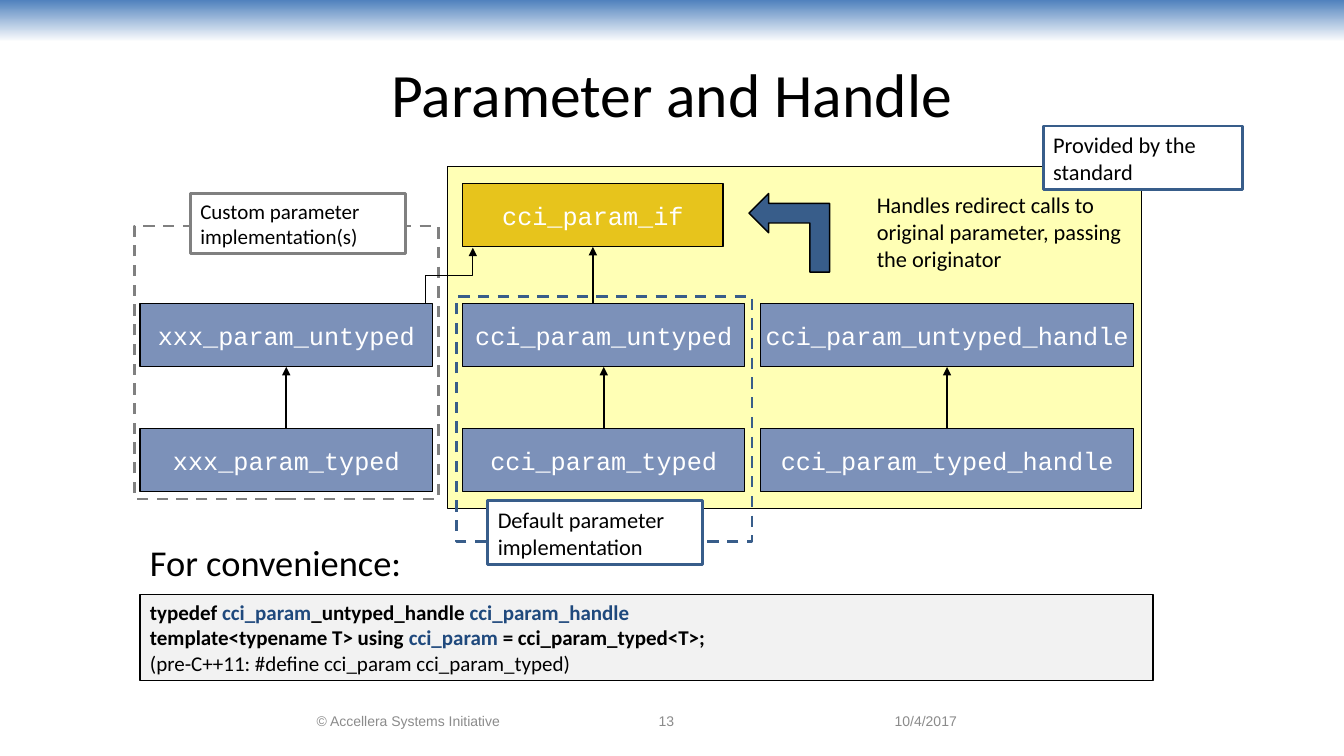
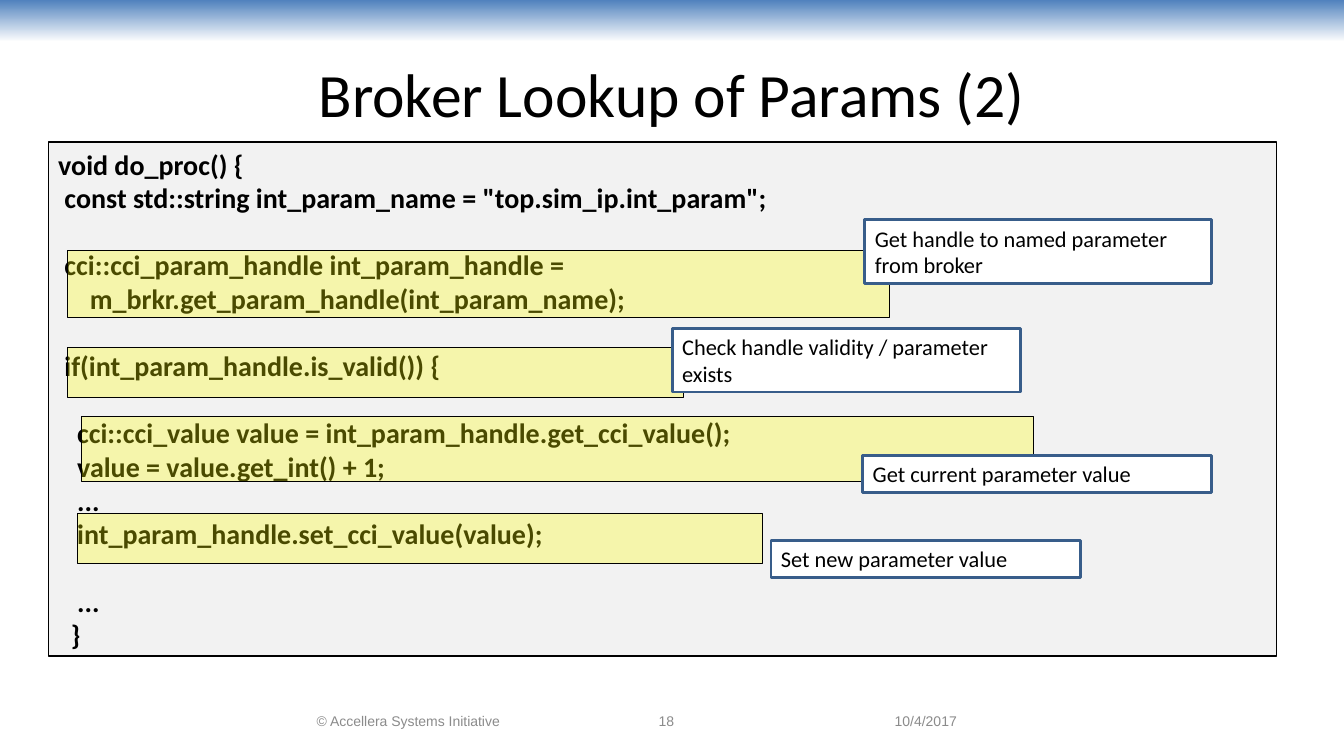
"""Build two slides on parameters, handles and broker lookup."""
from dataclasses import dataclass

import lxml.etree
import pptx
import pptx.dml.color
import pptx.enum.dml
import pptx.enum.shapes
import pptx.enum.text
import pptx.oxml.ns
import pptx.util

Pt = pptx.util.Pt
Shape = pptx.enum.shapes.MSO_SHAPE
Link = pptx.enum.shapes.MSO_CONNECTOR
Align = pptx.enum.text.PP_ALIGN
Anchor = pptx.enum.text.MSO_ANCHOR
qn = pptx.oxml.ns.qn


def rgb(code):
    return pptx.dml.color.RGBColor.from_string(code)


@dataclass(frozen=True)
class Theme:
    ink: str = "000000"
    paper: str = "FFFFFF"
    sky: str = "4F81BD"
    navy: str = "385D8A"
    word: str = "1F497D"
    steel: str = "7C91B9"
    gold: str = "E7C41C"
    glow: str = "FFFF00"
    pale: str = "F2F2F2"
    gray: str = "808080"
    faint: str = "8B8B8B"
    body: str = "Calibri"
    mono: str = "Courier New"
    sans: str = "Arial"
    head: int = 44
    lead: int = 26
    source: int = 20
    node: int = 18
    note: int = 16
    small: int = 15
    foot: int = 10


class Deck:
    def __init__(self, theme):
        self.theme = theme
        self.prs = pptx.Presentation()
        self.prs.slide_width = Pt(960)
        self.prs.slide_height = Pt(540)
        self.slide = None

    def start(self, title, number):
        t = self.theme
        first = self.slide is None
        self.slide = self.prs.slides.add_slide(self.prs.slide_layouts[5])
        if first:
            self.band()
        head = self.slide.shapes.title
        head.left, head.top, head.width, head.height = map(Pt, (48, 21.6, 864, 90))
        self.put(head, [title], t.head, align=Align.CENTER, anchor=Anchor.MIDDLE)
        foot = (
            (384, 184, str(number), Align.CENTER),
            (632, 112, "10/4/2017", Align.LEFT),
            (175.7, 231.8, "© Accellera Systems Initiative", Align.CENTER),
        )
        for x, w, text, align in foot:
            self.text((x, 500.4, w, 28.8), text, t.foot, t.faint, t.sans, align, Anchor.MIDDLE)

    def band(self):
        t = self.theme
        band = self.box((0, 0, 960, 30))
        band.fill.gradient()
        band.fill.gradient_angle = 270
        for stop, place, tone in zip(band.fill.gradient_stops, (0, 1), (t.sky, t.paper)):
            stop.position = place
            stop.color.rgb = rgb(tone)
        self.prs.slide_master.shapes._spTree.insert(2, band._element)

    def put(self, shape, lines, size, color=None, face=None, align=Align.LEFT,
            anchor=Anchor.TOP, bold=False, wrap=True, pitch=None):
        t = self.theme
        frame = shape.text_frame
        frame.word_wrap = wrap
        frame.vertical_anchor = anchor
        para, gap = None, 0
        for line in lines:
            if not line:
                gap += pitch
                continue
            para = frame.add_paragraph() if para else frame.paragraphs[0]
            para.alignment = align
            if pitch:
                para.line_spacing = Pt(pitch)
            if gap:
                para.space_before = Pt(gap)
                gap = 0
            font = para.font
            font.size, font.name, font.bold = Pt(size), face or t.body, bold
            font.color.rgb = rgb(color or t.ink)
            for part in [(line, None)] if isinstance(line, str) else line:
                run = para.add_run()
                run.text = part[0]
                if part[1]:
                    run.font.color.rgb = rgb(part[1])

    def text(self, area, text, size, color=None, face=None, align=Align.LEFT, anchor=Anchor.TOP):
        shape = self.slide.shapes.add_textbox(*map(Pt, area))
        self.put(shape, [text], size, color, face, align, anchor)

    def box(self, area, fill=None, line=None, width=0.75, kind=Shape.RECTANGLE):
        shape = self.slide.shapes.add_shape(kind, *map(Pt, area))
        shape.shadow.inherit = False
        if fill:
            shape.fill.solid()
            shape.fill.fore_color.rgb = rgb(fill)
        else:
            shape.fill.background()
        if line:
            shape.line.color.rgb = rgb(line)
            shape.line.width = Pt(width)
        else:
            shape.line.fill.background()
        return shape

    def tint(self, area):
        shape = self.box(area, self.theme.glow, self.theme.ink)
        tone = shape._element.spPr.find(qn("a:solidFill"))[0]
        lxml.etree.SubElement(tone, qn("a:alpha")).set("val", "29000")

    def frame(self, area, color):
        shape = self.box(area, line=color, width=2)
        shape.line.dash_style = pptx.enum.dml.MSO_LINE.DASH

    def node(self, area, name, fill):
        t = self.theme
        self.put(self.box(area, fill, t.ink), [name], t.node, t.paper, t.mono,
                 Align.CENTER, Anchor.MIDDLE, wrap=False)

    def note(self, area, text, line=None, size=None):
        t = self.theme
        shape = self.box(area, t.paper, line or t.navy, 2)
        self.put(shape, [text], size or t.note)

    def panel(self, area, lines, size, pitch=None):
        shape = self.box(area, self.theme.pale, self.theme.ink, 1)
        self.put(shape, lines, size, bold=True, pitch=pitch)
        return shape

    def arrow(self, x, y, u, v, width=1.5):
        bent = x != u
        kind = Link.ELBOW if bent else Link.STRAIGHT
        ends = (x, y, u, v)
        if bent:
            mx, my, dx, dy = (x + u) / 2, (y + v) / 2, (u - x) / 2, (v - y) / 2
            ends = (mx - dy, my + dx, mx + dy, my - dx)
        link = self.slide.shapes.add_connector(kind, *map(Pt, ends))
        if bent:
            link.rotation = 90
        link.line.color.rgb = rgb(self.theme.ink)
        link.line.width = Pt(width)
        props = link._element.spPr
        lxml.etree.SubElement(props.find(qn("a:ln")), qn("a:tailEnd")).set("type", "triangle")
        lxml.etree.SubElement(props, qn("a:effectLst"))


def handles(deck):
    t = deck.theme
    deck.start("Parameter and Handle", 13)
    deck.frame((96, 161.5, 217, 195), t.gray)
    deck.tint((319.7, 119, 496, 244.5))
    high, top, low = 45.4, 216.7, 306
    nodes = (
        (100, 209, "xxx_param_untyped", "xxx_param_typed"),
        (330.5, 201.5, "cci_param_untyped", "cci_param_typed"),
        (543, 267, "cci_param_untyped_handle", "cci_param_typed_handle"),
    )
    for x, w, base, child in nodes:
        deck.node((x, top, w, high), base, t.steel)
        deck.node((x, low, w, high), child, t.steel)
        deck.arrow(x + w / 2, low, x + w / 2, top + high)
    deck.node((330.5, 131, 186, high), "cci_param_if", t.gold)
    deck.arrow(423.5, top, 423.5, 131 + high)
    deck.arrow(304, top, 337.7, 177, 1)
    deck.text((619.2, 133.2, 190, 64.8),
              "Handles redirect calls to original parameter, passing the originator", t.note)
    deck.text((100, 378.7, 648, 41.8), "For convenience:", t.lead, anchor=Anchor.BOTTOM)
    lines = (
        (("typedef ", None), ("cci_param", t.word), ("_untyped_handle ", None),
         ("cci_param_handle", t.word)),
        (("template<typename T> using ", None), ("cci_param", t.word),
         (" = cci_param_typed<T>;", None)),
        "(pre-C++11: #define cci_param cci_param_typed)",
    )
    panel = deck.panel((100, 424.8, 723.6, 61.2), lines, t.small)
    panel.text_frame.paragraphs[-1].font.bold = False
    deck.note((745.2, 90, 142.6, high), "Provided by the standard")
    deck.note((136, 138.2, 153.4, 43.2), "Custom parameter implementation(s)", t.gray, t.small)
    turn = deck.box((535.7, 137.5, 56.2, 57.6), t.navy, t.ink, 1, Shape.BENT_UP_ARROW)
    turn.rotation = 270
    deck.frame((326.2, 211.7, 211, 175), t.navy)
    deck.note((348.5, 357.8, 153.4, high), "Default parameter implementation")


def lookup(deck):
    t = deck.theme
    deck.start("Broker Lookup of Params (2)", 18)
    source = '''void do_proc() {
 const std::string int_param_name = "top.sim_ip.int_param";

 cci::cci_param_handle int_param_handle =
     m_brkr.get_param_handle(int_param_name);

 if(int_param_handle.is_valid()) {

   cci::cci_value value = int_param_handle.get_cci_value();
   value = value.get_int() + 1;
   ...
   int_param_handle.set_cci_value(value);

   ...
  }'''
    deck.panel((34.5, 101.5, 877.5, 367), source.split("\n"), t.source, 24)
    steps = (
        ((48, 179.3, 587.5, 47.5), (617.8, 157, 247.7, 45.4),
         "Get handle to named parameter from broker"),
        ((58.3, 297.4, 679.7, 46.8), (616.3, 325.4, 249, 26.6),
         "Get current parameter value"),
        ((55.4, 366.5, 489, 36), (550.8, 386, 221, 26.6),
         "Set new parameter value"),
        ((48, 248.4, 440.6, 35.3), (480.2, 234.7, 249, 45.4),
         "Check handle validity / parameter exists"),
    )
    for mark, area, text in steps:
        deck.tint(mark)
        deck.note(area, text)


def main():
    deck = Deck(Theme())
    handles(deck)
    lookup(deck)
    deck.prs.save("out.pptx")


if __name__ == "__main__":
    main()
